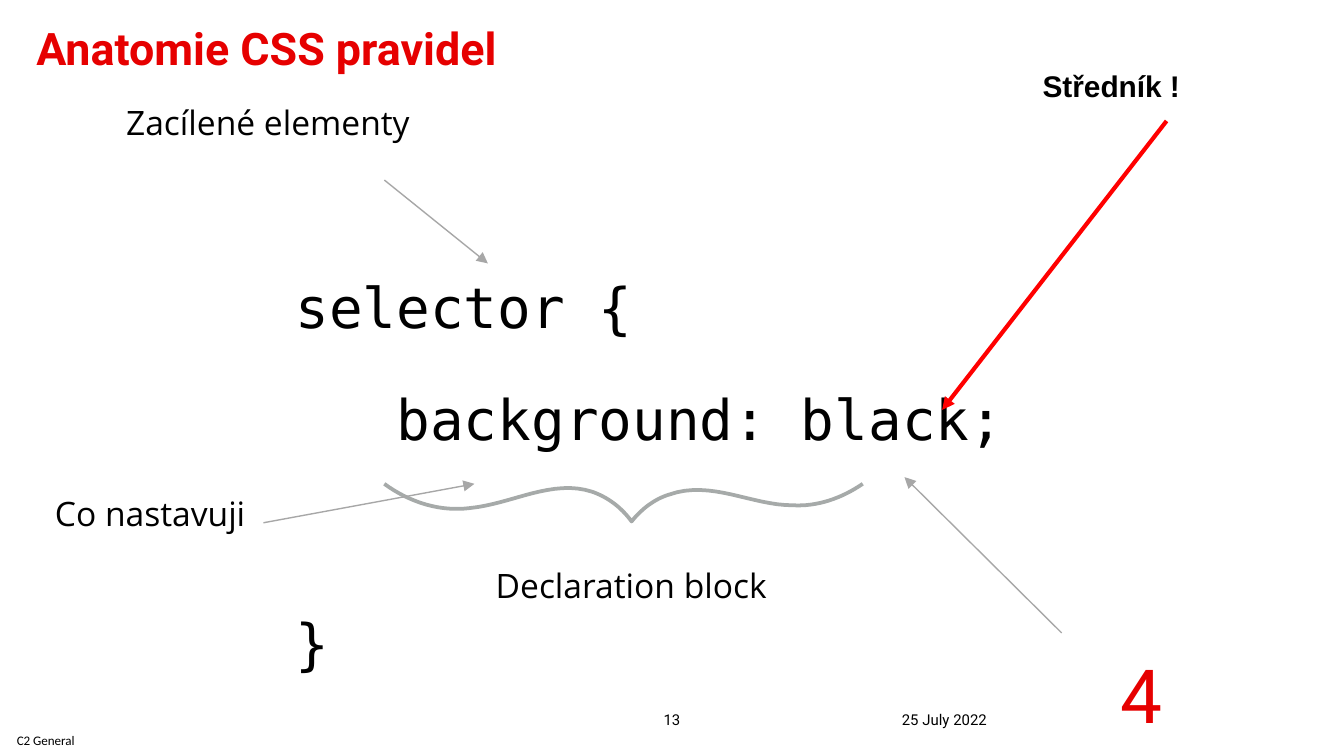
"""Build the slide explaining the anatomy of a CSS rule."""
from dataclasses import dataclass

from lxml.etree import SubElement
from pptx import Presentation
from pptx.dml.color import RGBColor
from pptx.enum.shapes import MSO_CONNECTOR as Connector
from pptx.enum.text import MSO_ANCHOR as Anchor, MSO_AUTO_SIZE as AutoSize, PP_ALIGN as Align
from pptx.oxml.ns import qn
from pptx.util import Inches, Pt


@dataclass(frozen=True)
class Style:
    font: str
    size: int
    color: str = "000000"
    bold: bool = False


class Theme:
    gray = "A7A7A7"
    brace = "A6AAA9"
    alert = "FF0000"
    title = Style("Roboto", 24, "E60000", True)
    code = Style("DejaVu Sans Mono", 30)
    label = Style("Open Sans", 18)
    warning = Style("Arial", 16, bold=True)
    number = Style("Roboto", 40, "E60000")
    footer = Style("Roboto", 8)
    marking = Style("Calibri", 7)


def apply_style(paragraph, style):
    font = paragraph.font
    font.name, font.size, font.bold = style.font, Pt(style.size), style.bold
    font.color.rgb = RGBColor.from_string(style.color)


def set_frame(frame, inset, anchor=Anchor.TOP, wrap=True):
    frame.margin_left = frame.margin_right = Inches(inset)
    frame.margin_top = frame.margin_bottom = Inches(inset)
    frame.vertical_anchor = anchor
    frame.auto_size = AutoSize.NONE
    frame.word_wrap = wrap


def add_text(slide, box, text, style, inset=0.1, anchor=Anchor.TOP,
             align=Align.LEFT, wrap=True):
    frame = slide.shapes.add_textbox(*map(Inches, box)).text_frame
    set_frame(frame, inset, anchor, wrap)
    frame.text = text
    for paragraph in frame.paragraphs:
        paragraph.alignment = align
        apply_style(paragraph, style)
    return frame


def add_title(slide, text):
    title = slide.shapes.title
    title.left, title.top, title.width, title.height = map(Inches, (0.27, 0.23, 9.44, 0.73))
    set_frame(title.text_frame, 0)
    title.text_frame.text = text
    heading = title.text_frame.paragraphs[0]
    heading.alignment, heading.line_spacing = Align.LEFT, 0.8
    apply_style(heading, Theme.title)


def add_code(slide):
    rule = "selector {\n   background: black;\n}"
    frame = add_text(slide, (2.1, 1.68, 6.43, 3.25), rule, Theme.code)
    for line in frame.paragraphs:
        line.line_spacing, line.space_after = 1.5, Pt(6)
    frame.paragraphs[-1].space_before = Pt(60)


def add_arrow(slide, start, end, color=Theme.gray, width=0.75):
    arrow = slide.shapes.add_connector(Connector.STRAIGHT, *map(Inches, start + end))
    arrow.line.color.rgb = RGBColor.from_string(color)
    arrow.line.width = Pt(width)
    properties = arrow.element.spPr
    SubElement(properties.find(qn("a:ln")), qn("a:tailEnd"), type="triangle")
    SubElement(properties, qn("a:effectLst"))


def curve_points(start, curves, steps=16):
    """Yield points along a chain of cubic Bézier curves."""
    for first, second, end in curves:
        for step in range(1, steps + 1):
            t = step / steps
            u = 1 - t
            yield tuple(Inches(u**3 * a + 3 * u * u * t * b + 3 * u * t * t * c + t**3 * d)
                        for a, b, c, d in zip(start, first, second, end))
        start = end


def add_brace(slide):
    start = (2.86, 3.6)
    curves = [
        ((3.05, 3.74), (3.28, 3.81), (3.5, 3.78)),
        ((3.81, 3.75), (4.11, 3.56), (4.41, 3.66)),
        ((4.52, 3.7), (4.62, 3.77), (4.7, 3.88)),
        ((4.78, 3.78), (4.88, 3.71), (4.98, 3.68)),
        ((5.29, 3.57), (5.59, 3.76), (5.9, 3.76)),
        ((6.08, 3.77), (6.26, 3.71), (6.42, 3.6)),
    ]
    outline = slide.shapes.build_freeform(*map(Inches, start))
    outline.add_line_segments(list(curve_points(start, curves)), close=False)
    brace = outline.convert_to_shape()
    brace.fill.background()
    brace.line.color.rgb = RGBColor.from_string(Theme.brace)
    brace.line.width = Pt(2)
    brace.shadow.inherit = False


def main():
    deck = Presentation()
    deck.slide_width = Inches(10)
    deck.slide_height = deck.slide_width * 9 // 16
    slide = deck.slides.add_slide(deck.slide_layouts[5])

    add_text(slide, (0, 5.44, 0.68, 0.14), "C2 General", Theme.marking, 0,
             Anchor.MIDDLE, Align.CENTER)
    add_title(slide, "Anatomie CSS pravidel")
    add_code(slide)

    add_text(slide, (0.84, 0.66, 2.42, 0.83), "Zacílené elementy", Theme.label)
    add_arrow(slide, (2.86, 1.34), (3.63, 1.96))
    add_brace(slide)
    add_text(slide, (3.59, 4.1, 2.5, 0.52), "Declaration block", Theme.label)
    add_text(slide, (0.31, 3.57, 2.42, 0.83), "Co nastavuji", Theme.label)
    add_arrow(slide, (1.96, 3.89), (3.53, 3.6))
    add_arrow(slide, (8.68, 0.9), (7.01, 3.05), Theme.alert, 2.25)
    add_arrow(slide, (7.9, 4.71), (6.73, 3.55))
    add_text(slide, (7.66, 0.4, 3.07, 0.98), "Středník !", Theme.warning)

    add_text(slide, (8.34, 4.83, 0.24, 0.67), "4", Theme.number, 0)
    add_text(slide, (4.93, 5.28, 0.14, 0.14), "13", Theme.footer, 0,
             Anchor.BOTTOM, Align.CENTER, wrap=False)
    add_text(slide, (6.71, 5.28, 1.12, 0.14), "25 July 2022", Theme.footer, 0, Anchor.BOTTOM)
    deck.save("out.pptx")


if __name__ == "__main__":
    main()
